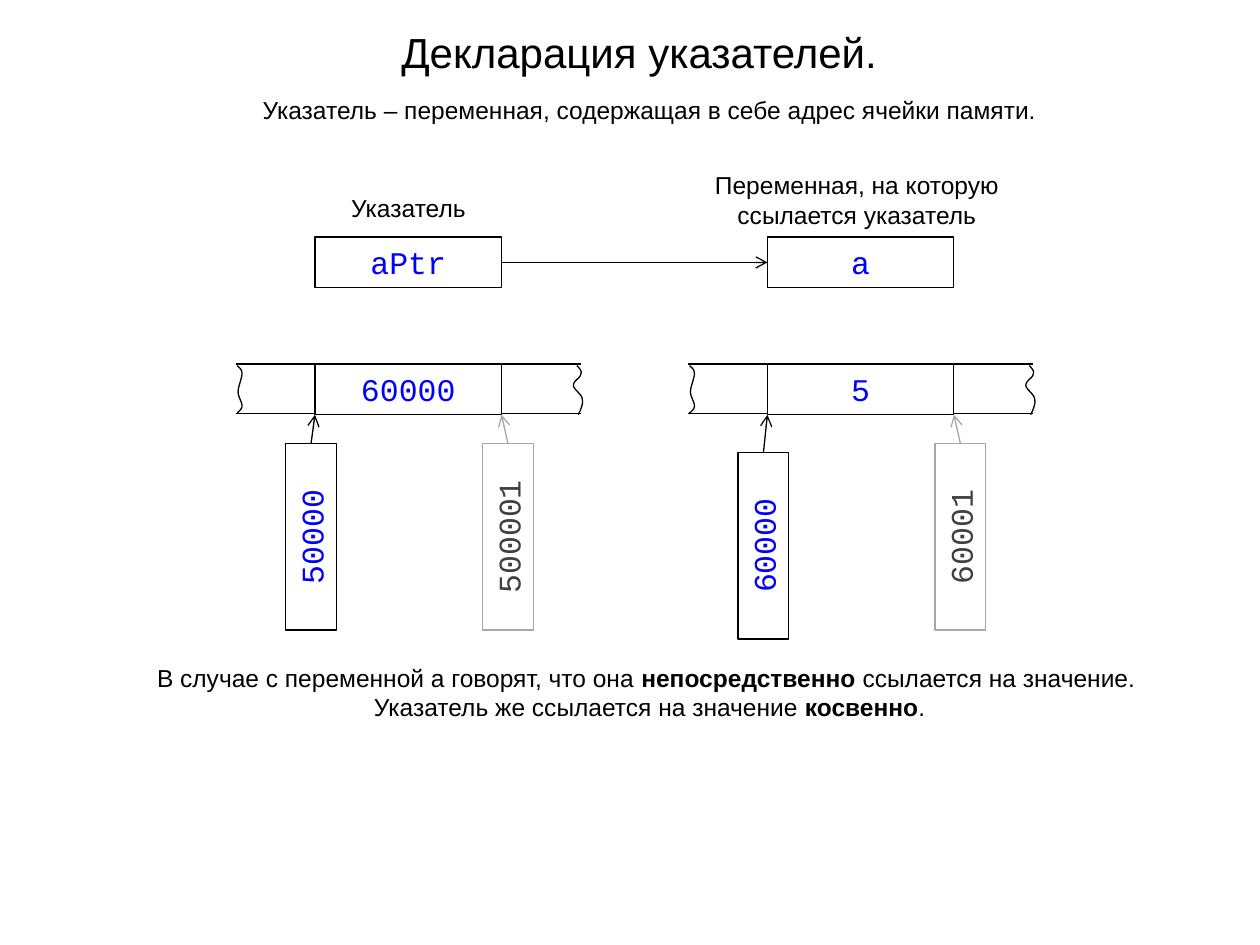
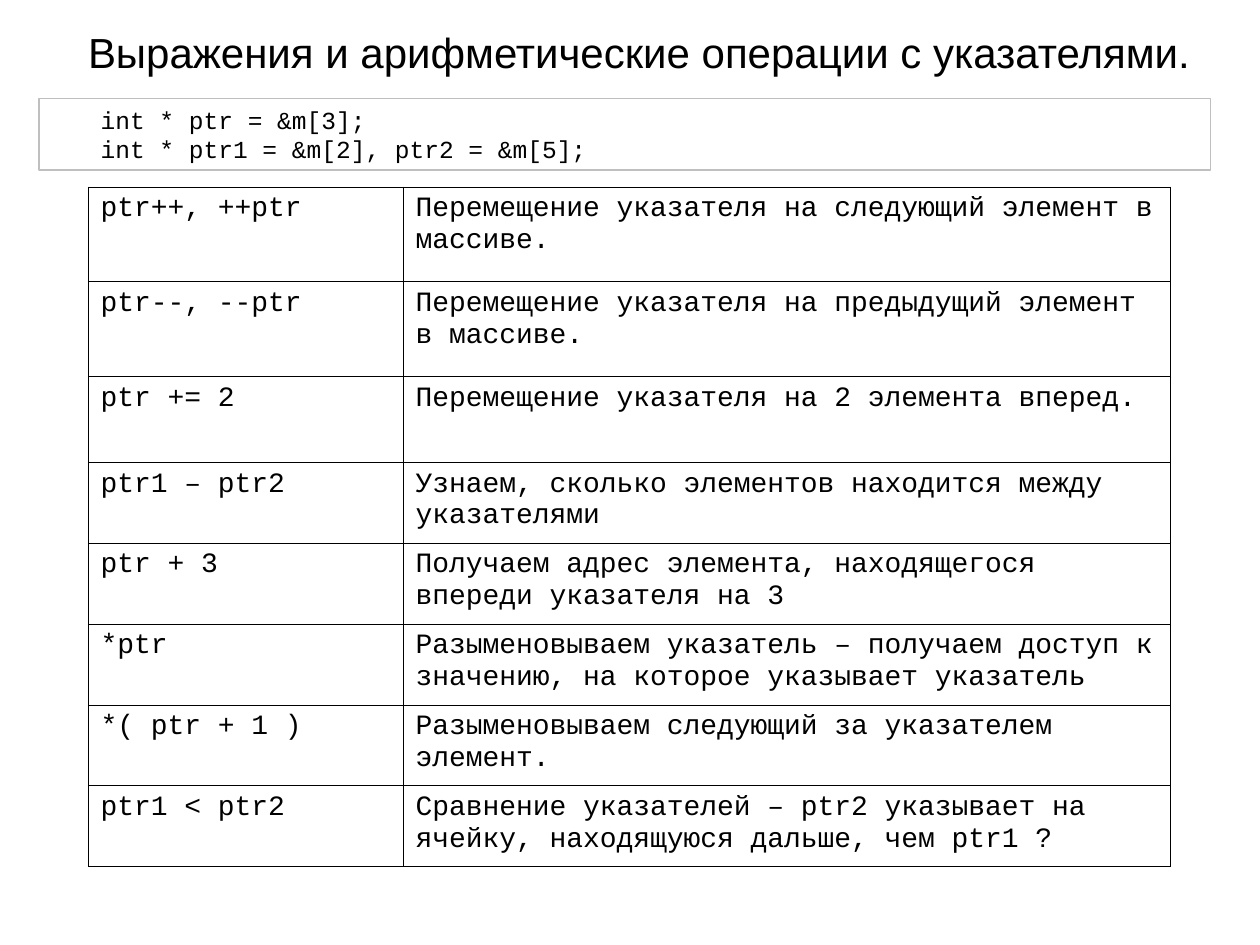
"""Two slides on C pointers: what a pointer is, and pointer arithmetic."""
from dataclasses import dataclass
from typing import Any, Optional

import pptx
import pptx.dml.color
import pptx.enum.shapes
import pptx.enum.text
import pptx.oxml
import pptx.oxml.ns
import pptx.util

Cm, Pt = pptx.util.Cm, pptx.util.Pt
RGB = pptx.dml.color.RGBColor.from_string
Align = pptx.enum.text.PP_ALIGN
Anchor = pptx.enum.text.MSO_ANCHOR
qn = pptx.oxml.ns.qn


@dataclass(frozen=True)
class Theme:
    """Colours, fonts, type sizes and line widths of the deck."""
    ink: str = "000000"
    paper: str = "FFFFFF"
    value: str = "0000FF"
    muted_text: str = "404040"
    muted_line: str = "A6A6A6"
    code_line: str = "BFBFBF"
    sans: str = "Arial"
    mono: str = "Courier New"
    title: float = 24
    text: float = 14
    cell: float = 18
    table: float = 16
    line: float = 0.75
    border: float = 0.45
    leading: float = 1.2


@dataclass(frozen=True)
class Box:
    """A rectangle in centimetres."""
    left: float
    top: float
    width: float
    height: float

    def emu(self) -> tuple:
        """Return the four lengths for a python-pptx call."""
        return Cm(self.left), Cm(self.top), Cm(self.width), Cm(self.height)


@dataclass(frozen=True)
class Address:
    """The address of a cell edge: its text, centre and colours."""
    text: str
    offset: float
    middle: float
    color: str
    line: str


@dataclass(frozen=True)
class Memory:
    """A named variable, its stored value and the addresses of its edges."""
    left: float
    name: str
    value: str
    start: Address
    end: Address


THEME = Theme()
TITLE_BOX = Box(0.58, 0.41, 24.61, 1.27)
INSETS = {"margin_left": Cm(0.25), "margin_right": Cm(0.25),
          "margin_top": Cm(0.13), "margin_bottom": Cm(0.13)}

CELL_W, CELL_H = 3.76, 1.02
NAME_TOP, VALUE_TOP = 4.78, 7.34
STUB = 1.6

# Bezier points of the torn ends, measured from the cell's near top corner.
LEFT_TEAR = [(-1.57, 0.03), (-1.52, 0.08), (-1.47, 0.1), (-1.47, 0.2),
             (-1.47, 0.28), (-1.55, 0.46), (-1.55, 0.56), (-1.55, 0.66),
             (-1.47, 0.76), (-1.47, 0.84), (-1.47, 0.91), (-1.52, 0.94),
             (-1.57, 0.99)]
RIGHT_TEAR = [(1.52, 0.03), (1.57, 0.08), (1.63, 0.15), (1.6, 0.2),
              (1.6, 0.28), (1.45, 0.33), (1.45, 0.43), (1.45, 0.51),
              (1.63, 0.61), (1.63, 0.71), (1.65, 0.81), (1.6, 0.91),
              (1.55, 1.02)]

MEMORY = [
    Memory(6.35, "aPtr", "60000",
           Address("50000", -0.08, 10.82, THEME.value, THEME.ink),
           Address("500001", 0.13, 10.82, THEME.muted_text, THEME.muted_line)),
    Memory(15.47, "a", "5",
           Address("60000", -0.08, 11.0, THEME.value, THEME.ink),
           Address("60001", 0.13, 10.82, THEME.muted_text, THEME.muted_line)),
]

CAPTIONS = [
    (Box(0.79, 1.78, 24.61, 0.86),
     [[("Указатель – переменная, содержащая в себе адрес ячейки памяти.", False)]]),
    (Box(6.15, 3.76, 4.17, 0.86), [[("Указатель", False)]]),
    (Box(13.11, 3.3, 8.33, 1.45),
     [[("Переменная, на которую ссылается указатель", False)]]),
    (Box(0.79, 13.23, 24.61, 1.45),
     [[("В случае с переменной a говорят, что она ", False),
       ("непосредственно", True), (" ссылается на значение. ", False)],
      [("Указатель же ссылается на значение ", False),
       ("косвенно", True), (".", False)]]),
]

CODE = ["int * ptr = &m[3];", "int * ptr1 = &m[2], ptr2 = &m[5];"]
OPERATIONS = [
    ("ptr++, ++ptr", "Перемещение указателя на следующий элемент в массиве."),
    ("ptr--, --ptr", "Перемещение указателя на предыдущий элемент в массиве."),
    ("ptr += 2", "Перемещение указателя на 2 элемента вперед."),
    ("ptr1 – ptr2", "Узнаем, сколько элементов находится между указателями"),
    ("ptr + 3", "Получаем адрес элемента, находящегося впереди указателя на 3"),
    ("*ptr", "Разыменовываем указатель – получаем доступ к значению, "
             "на которое указывает указатель"),
    ("*( ptr + 1 )", "Разыменовываем следующий за указателем элемент."),
    ("ptr1 < ptr2", "Сравнение указателей – ptr2 указывает на ячейку, "
                    "находящуюся дальше, чем ptr1 ?"),
]
COLUMN_WIDTHS = [6.35, 15.47]
ROW_HEIGHTS = [1.91, 1.91, 1.73] + [1.63] * 5


def set_attrs(target: Any, values: dict) -> None:
    """Set each named attribute of an object."""
    for name, value in values.items():
        setattr(target, name, value)


def write(tf: Any, paragraphs: list, size: float, font: str,
          color: str = THEME.ink, align: Any = Align.CENTER,
          leading: Optional[float] = THEME.leading) -> None:
    """Fill a text frame with paragraphs of (text, bold) runs."""
    for i, runs in enumerate(paragraphs):
        p = tf.paragraphs[0] if i == 0 else tf.add_paragraph()
        p.alignment = align
        if leading:
            p.line_spacing = Pt(size * leading)
        for text, bold in runs:
            r = p.add_run()
            r.text = text
            set_attrs(r.font, {"name": font, "size": Pt(size), "bold": bold})
            r.font.color.rgb = RGB(color)


def format_frame(tf: Any, anchor: Any) -> None:
    """Give a text frame the shared insets and wrapping."""
    set_attrs(tf, {**INSETS, "word_wrap": True, "vertical_anchor": anchor,
                   "auto_size": pptx.enum.text.MSO_AUTO_SIZE.NONE})


def set_line(shape: Any, color: str) -> None:
    """Give a shape or connector the shared line width and a colour."""
    shape.line.color.rgb = RGB(color)
    shape.line.width = Pt(THEME.line)


def add_titled_slide(prs: Any, title: str) -> Any:
    """Add a slide with the shared title style."""
    s = prs.slides.add_slide(prs.slide_layouts[5])
    sp = s.shapes.title
    sp.left, sp.top, sp.width, sp.height = TITLE_BOX.emu()
    format_frame(sp.text_frame, Anchor.TOP)
    write(sp.text_frame, [[(title, False)]], THEME.title, THEME.sans)
    return s


def add_rect(s: Any, box: Box, line: str) -> Any:
    """Add an unfilled, outlined rectangle ready for text."""
    sp = s.shapes.add_shape(pptx.enum.shapes.MSO_SHAPE.RECTANGLE, *box.emu())
    sp.shadow.inherit = False
    sp.fill.background()
    set_line(sp, line)
    format_frame(sp.text_frame, Anchor.MIDDLE)
    return sp


def add_cell(s: Any, left: float, top: float, text: str,
             color: str = THEME.value, line: str = THEME.ink) -> Any:
    """Add one memory cell with centred code text."""
    sp = add_rect(s, Box(left, top, CELL_W, CELL_H), line)
    write(sp.text_frame, [[(text, False)]], THEME.cell, THEME.mono, color)
    return sp


def add_line(s: Any, start: tuple, end: tuple, color: str = THEME.ink,
             arrow: bool = False) -> None:
    """Draw a straight line, with an open arrowhead at its end if asked."""
    line = s.shapes.add_connector(pptx.enum.shapes.MSO_CONNECTOR.STRAIGHT,
                                  *(Cm(v) for v in start + end))
    set_line(line, color)
    if arrow:
        head = pptx.oxml.parse_xml(
            '<a:tailEnd xmlns:a="http://schemas.openxmlformats.org/'
            'drawingml/2006/main" type="arrow"/>')
        line.line._get_or_add_ln().append(head)
    props = line._element.spPr
    props.append(props.makeelement(qn("a:effectLst"), {}))


def add_tear(s: Any, x: float, y: float, points: list, steps: int = 8) -> None:
    """Draw a torn edge through a chain of cubic Bezier segments."""
    curve = [points[0]]
    for i in range(0, len(points) - 1, 3):
        segment = points[i:i + 4]
        for step in range(1, steps + 1):
            t = step / steps
            weights = ((1 - t) ** 3, 3 * t * (1 - t) ** 2,
                       3 * t ** 2 * (1 - t), t ** 3)
            curve.append(tuple(sum(w * pt[axis] for w, pt in zip(weights, segment))
                               for axis in (0, 1)))
    outline = [(Cm(x + dx), Cm(y + dy)) for dx, dy in curve]
    builder = s.shapes.build_freeform(*outline[0])
    builder.add_line_segments(outline[1:], close=False)
    sp = builder.convert_to_shape()
    sp.shadow.inherit = False
    sp.fill.background()
    set_line(sp, THEME.ink)


def add_address(s: Any, edge: float, address: Address) -> None:
    """Draw an upright address box and its arrow to a cell edge."""
    center = edge + address.offset
    sp = add_cell(s, center - CELL_W / 2, address.middle - CELL_H / 2,
                  address.text, address.color, address.line)
    sp.rotation = 270
    add_line(s, (center, address.middle - CELL_W / 2),
             (edge, VALUE_TOP + CELL_H), address.line, arrow=True)


def add_memory(s: Any, memory: Memory) -> None:
    """Draw a variable, its strip of memory and its two addresses."""
    left, right = memory.left, memory.left + CELL_W
    add_cell(s, left, NAME_TOP, memory.name)
    add_cell(s, left, VALUE_TOP, memory.value)
    for edge, reach, tear in ((left, -STUB, LEFT_TEAR), (right, STUB, RIGHT_TEAR)):
        for y in (VALUE_TOP, VALUE_TOP + 1):
            add_line(s, (edge, y), (edge + reach, y))
        add_tear(s, edge, VALUE_TOP, tear)
    add_address(s, left, memory.start)
    add_address(s, right, memory.end)


def add_borders(cell: Any) -> None:
    """Draw a thin line on all four sides of a table cell."""
    props = cell._tc.get_or_add_tcPr()
    for i, side in enumerate(("lnL", "lnR", "lnT", "lnB")):
        props.insert(i, pptx.oxml.parse_xml(
            f'<a:{side} xmlns:a="http://schemas.openxmlformats.org/drawingml/2006/main"'
            f' w="{Pt(THEME.border)}"><a:solidFill><a:srgbClr val="{THEME.ink}"/>'
            f'</a:solidFill></a:{side}>'))


def add_operations(s: Any) -> None:
    """Add the table of pointer operations."""
    box = Box(1.78, 3.77, sum(COLUMN_WIDTHS), sum(ROW_HEIGHTS))
    table = s.shapes.add_table(len(OPERATIONS), len(COLUMN_WIDTHS), *box.emu()).table
    set_attrs(table, {"first_row": False, "horz_banding": False})
    for column, width in zip(table.columns, COLUMN_WIDTHS):
        column.width = Cm(width)
    for row, height, texts in zip(table.rows, ROW_HEIGHTS, OPERATIONS):
        row.height = Cm(height)
        for cell, text in zip(row.cells, texts):
            set_attrs(cell, INSETS)
            cell.fill.solid()
            cell.fill.fore_color.rgb = RGB(THEME.paper)
            add_borders(cell)
            write(cell.text_frame, [[(text, False)]], THEME.table, THEME.mono,
                  align=Align.LEFT, leading=None)


def build_declaration(prs: Any) -> None:
    """Build the slide on declaring pointers."""
    s = add_titled_slide(prs, "Декларация указателей.")
    for memory in MEMORY:
        add_memory(s, memory)
    middle = NAME_TOP + CELL_H / 2
    pointer, target = MEMORY
    add_line(s, (pointer.left + CELL_W, middle), (target.left, middle), arrow=True)
    for box, paragraphs in CAPTIONS:
        tf = s.shapes.add_textbox(*box.emu()).text_frame
        format_frame(tf, Anchor.TOP)
        write(tf, paragraphs, THEME.text, THEME.sans)


def build_arithmetic(prs: Any) -> None:
    """Build the slide on pointer expressions."""
    s = add_titled_slide(prs, "Выражения и арифметические операции с указателями.")
    tf = add_rect(s, Box(0.79, 1.98, 23.62, 1.45), THEME.code_line).text_frame
    tf.margin_left = Cm(1.24)
    write(tf, [[(line, False)] for line in CODE], THEME.text, THEME.mono,
          align=Align.LEFT)
    add_operations(s)


prs = pptx.Presentation()
set_attrs(prs, {"slide_width": Cm(25.4), "slide_height": Cm(19.05)})
build_declaration(prs)
build_arithmetic(prs)
prs.save("out.pptx")
